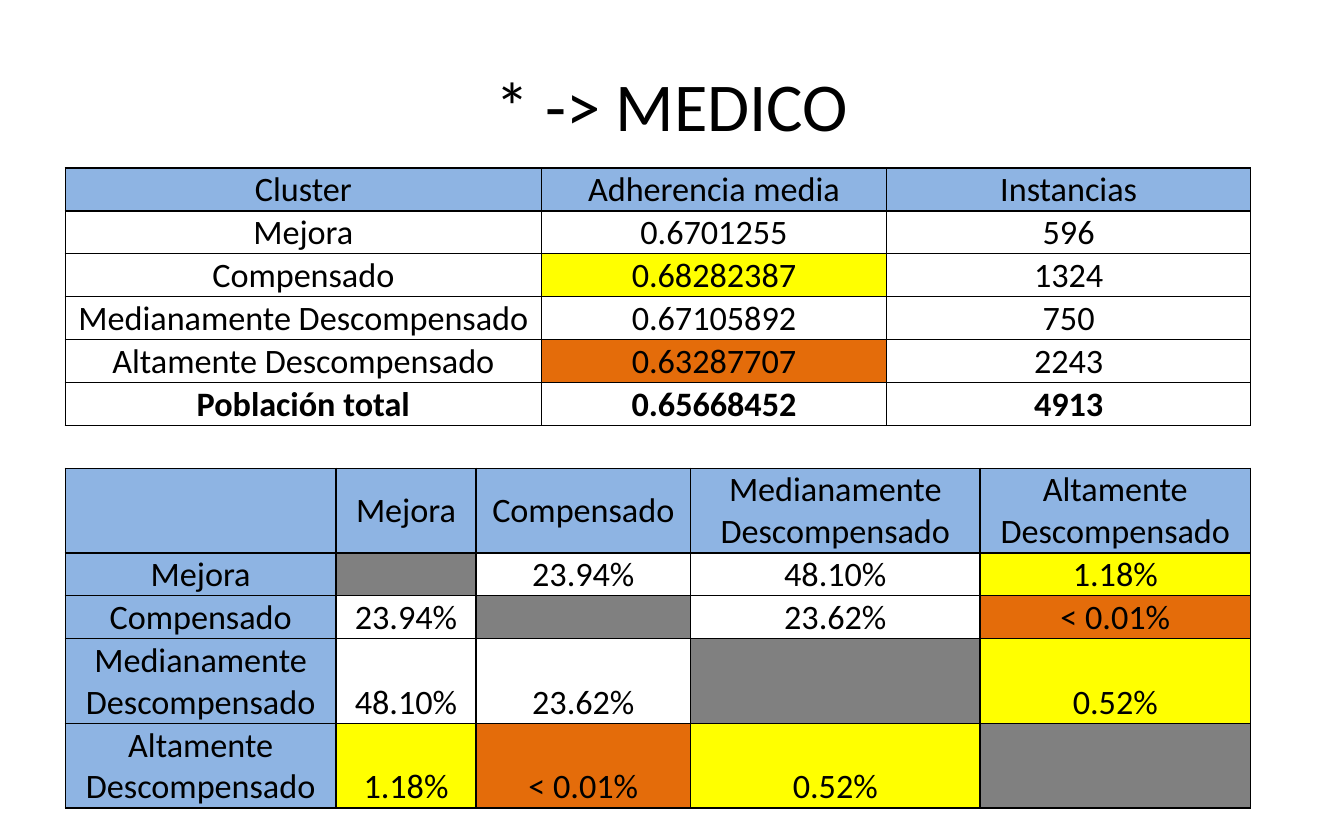
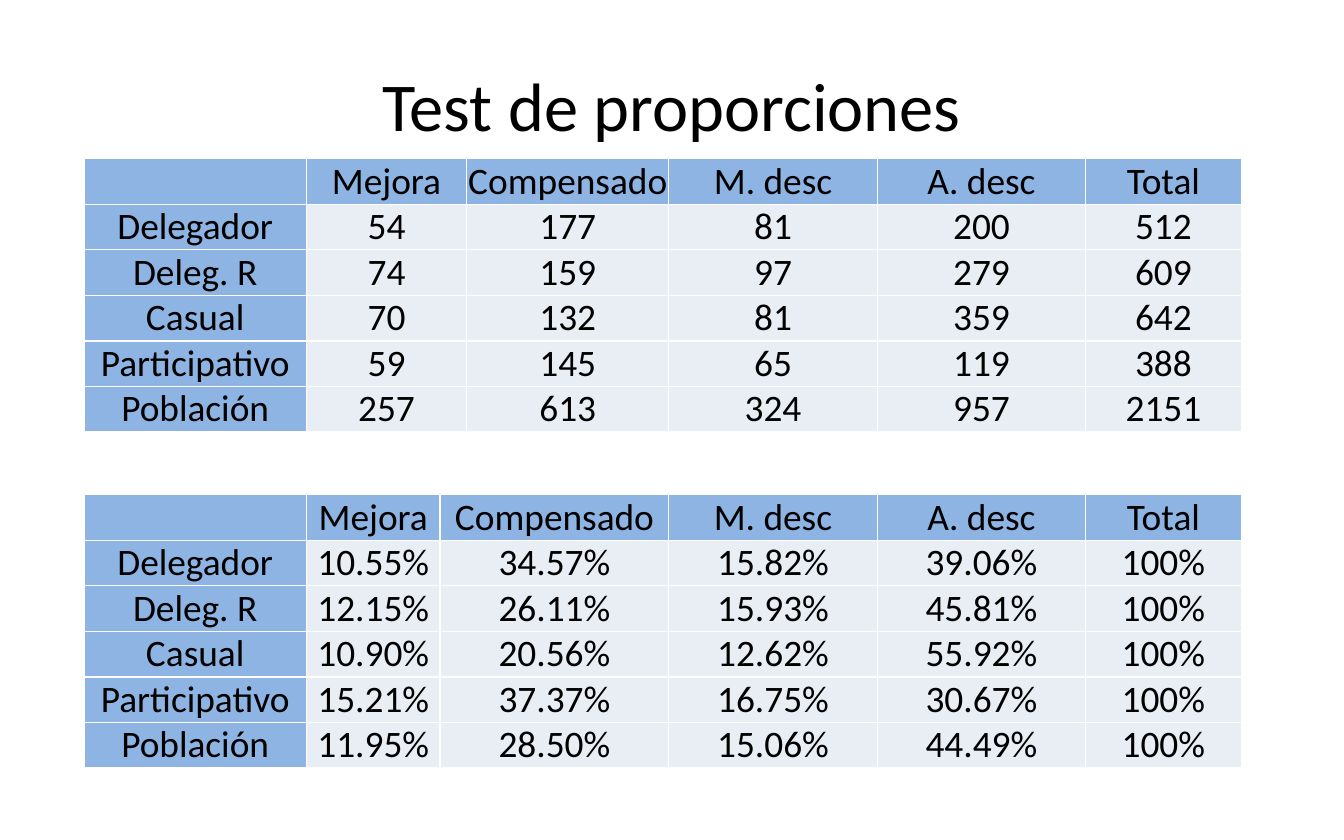
"""Builds two slides of cluster tables: adherence by doctor and a proportions test."""
from dataclasses import dataclass

from lxml.etree import SubElement
from pptx import Presentation
from pptx.dml.color import RGBColor as RGB
from pptx.enum.text import MSO_ANCHOR as ANCHOR, PP_ALIGN as ALIGN
from pptx.oxml.ns import qn
from pptx.util import Pt


@dataclass(frozen=True)
class Theme:
    font: str = "Calibri"
    title_size: int = 44
    ink: str = "000000"
    paper: str = "FFFFFF"
    header: str = "8EB4E3"
    pale: str = "E9EDF4"
    diagonal: str = "808080"
    high: str = "FFFF00"
    low: str = "E46C0A"


@dataclass(frozen=True)
class TableStyle:
    size: int
    row_height: float
    line_height: float
    margin: float
    border: str
    body: str
    label_anchor: ANCHOR


THEME = Theme()
GRID = TableStyle(22, 27.6, 26.8, 0.7, THEME.ink, THEME.paper, ANCHOR.MIDDLE)
SOFT = TableStyle(24, 29.3, 29.3, 0, THEME.paper, THEME.pale, ANCHOR.BOTTOM)

CLUSTERS = ["Mejora", "Compensado", "Medianamente Descompensado", "Altamente Descompensado"]
P_VALUES = [
    ["", "23.94%", "48.10%", "1.18%"],
    ["23.94%", "", "23.62%", "< 0.01%"],
    ["48.10%", "23.62%", "", "0.52%"],
    ["1.18%", "< 0.01%", "0.52%", ""],
]
ADHERENCE = [
    ["Cluster", "Adherencia media", "Instancias"],
    ["Mejora", "0.6701255", "596"],
    ["Compensado", "0.68282387", "1324"],
    ["Medianamente Descompensado", "0.67105892", "750"],
    ["Altamente Descompensado", "0.63287707", "2243"],
    ["Población total", "0.65668452", "4913"],
]
GROUPS = ["Delegador", "Deleg. R", "Casual", "Participativo", "Población"]
GROUP_HEADS = ["", "Mejora", "Compensado", "M. desc", "A. desc", "Total"]
COUNTS = [
    ["54", "177", "81", "200", "512"],
    ["74", "159", "97", "279", "609"],
    ["70", "132", "81", "359", "642"],
    ["59", "145", "65", "119", "388"],
    ["257", "613", "324", "957", "2151"],
]
SHARES = [
    ["10.55%", "34.57%", "15.82%", "39.06%", "100%"],
    ["12.15%", "26.11%", "15.93%", "45.81%", "100%"],
    ["10.90%", "20.56%", "12.62%", "55.92%", "100%"],
    ["15.21%", "37.37%", "16.75%", "30.67%", "100%"],
    ["11.95%", "28.50%", "15.06%", "44.49%", "100%"],
]


def with_labels(heads, labels, values):
    return [heads] + [[label, *row] for label, row in zip(labels, values)]


P_MARKS = {"": THEME.diagonal, "1.18%": THEME.high, "0.52%": THEME.high, "< 0.01%": THEME.low}
ADHERENCE_MARKS = {"0.68282387": THEME.high, "0.63287707": THEME.low}

SLIDES = [
    ("* -> MEDICO", [
        dict(rows=with_labels([""] + CLUSTERS, CLUSTERS, P_VALUES), left=42, top=301,
             widths=[174, 90, 138, 186, 174], style=GRID, marks=P_MARKS, two_line=(0, 3, 4)),
        dict(rows=ADHERENCE, left=42, top=108, widths=[306, 222, 234], style=GRID,
             marks=ADHERENCE_MARKS, label_column=False, total_row=True),
    ]),
    ("Test de proporciones", [
        dict(rows=with_labels(GROUP_HEADS, GROUPS, COUNTS), left=54, top=102,
             widths=[143, 103, 130, 134, 134, 100], style=SOFT),
        dict(rows=with_labels(GROUP_HEADS, GROUPS, SHARES), left=54, top=318,
             widths=[143, 86, 147, 134, 134, 100], style=SOFT),
    ]),
]


def format_text(tf, size, bold=False):
    p = tf.paragraphs[0]
    p.alignment = ALIGN.CENTER
    for r in p.runs:
        r.font.name, r.font.size, r.font.bold = THEME.font, Pt(size), bold
        r.font.color.rgb = RGB.from_string(THEME.ink)


def add_title(s, text):
    tf = s.shapes.add_textbox(Pt(43.2), Pt(21.6), Pt(777.6), Pt(90)).text_frame
    tf.word_wrap = True
    tf.vertical_anchor = ANCHOR.MIDDLE
    tf.text = text
    format_text(tf, THEME.title_size)


def set_borders(cell, color):
    tc_pr = cell._tc.get_or_add_tcPr()
    for side in ("lnL", "lnR", "lnT", "lnB"):
        ln = SubElement(tc_pr, qn(f"a:{side}"), w=str(Pt(1)))
        SubElement(SubElement(ln, qn("a:solidFill")), qn("a:srgbClr"), val=color)


def add_table(s, rows, left, top, widths, style, marks={}, two_line=(),
              label_column=True, total_row=False):
    heights = [style.row_height + style.line_height * (i in two_line) for i in range(len(rows))]
    table = s.shapes.add_table(len(rows), len(widths), Pt(left), Pt(top),
                               Pt(sum(widths)), Pt(sum(heights))).table
    for column, width in zip(table.columns, widths):
        column.width = Pt(width)
    for i, (row, height) in enumerate(zip(rows, heights)):
        table.rows[i].height = Pt(height)
        for j, text in enumerate(row):
            cell = table.cell(i, j)
            is_head = i == 0 or (j == 0 and label_column)
            cell.text_frame.text = text
            format_text(cell.text_frame, style.size, total_row and i == len(rows) - 1)
            cell.margin_left = cell.margin_right = cell.margin_top = Pt(style.margin)
            cell.margin_bottom = 0
            cell.vertical_anchor = style.label_anchor if i == 0 or j == 0 else ANCHOR.BOTTOM
            set_borders(cell, style.border)
            cell.fill.solid()
            color = THEME.header if is_head else marks.get(text, style.body)
            cell.fill.fore_color.rgb = RGB.from_string(color)


def main():
    prs = Presentation()
    prs.slide_width, prs.slide_height = Pt(864), Pt(540)
    for title, tables in SLIDES:
        s = prs.slides.add_slide(prs.slide_layouts[6])
        add_title(s, title)
        for table in tables:
            add_table(s, **table)
    prs.save("out.pptx")


if __name__ == "__main__":
    main()
